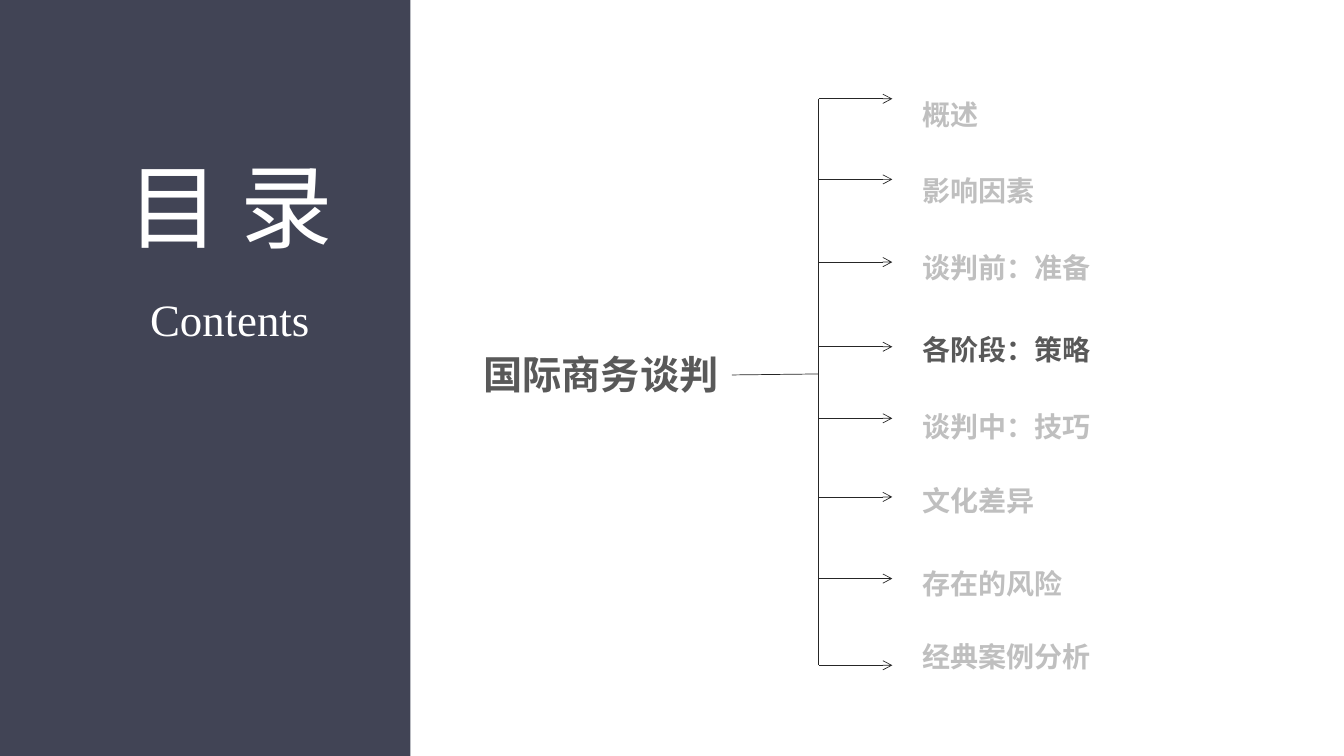
from lxml import etree
from pptx import Presentation
from pptx import util as u
from pptx.dml.color import RGBColor
from pptx.enum import shapes, text
from pptx.oxml.ns import qn

CJK = "Noto Sans CJK SC"
NAVY, WHITE, INK, DARK, MUTED = "414455", "FFFFFF", "262626", "595959", "BFBFBF"
# Topic, top of its label, height of its arrow (both from the top of the tree)
TOPICS = [
    ("概述", 0, 0.19),
    ("影响因素", 0.75, 0.99),
    ("谈判前：准备", 1.52, 1.81),
    ("各阶段：策略", 2.33, 2.65),
    ("谈判中：技巧", 3.1, 3.36),
    ("文化差异", 3.83, 4.14),
    ("存在的风险", 4.65, 4.95),
    ("经典案例分析", 5.38, 5.81),
]
CURRENT = "各阶段：策略"


def rgb(value):
    """Turn a hex string into a colour."""
    return RGBColor.from_string(value)


def place(sp, x, y, w, h):
    """Move and size a shape, in inches."""
    sp.left, sp.top, sp.width, sp.height = map(u.Inches, (x, y, w, h))


def write(sp, words, size, color, font=CJK, bold=False, center=True, wrap=False,
          spacing=1.0, anchor=text.MSO_ANCHOR.TOP, insets=(0.1, 0.05)):
    """Put one formatted line of text into a shape."""
    tf = sp.text_frame
    tf.word_wrap = wrap
    tf.auto_size = text.MSO_AUTO_SIZE.SHAPE_TO_FIT_TEXT
    tf.vertical_anchor = anchor
    tf.margin_left = tf.margin_right = u.Inches(insets[0])
    tf.margin_top = tf.margin_bottom = u.Inches(insets[1])
    p = tf.paragraphs[0]
    p.alignment = text.PP_ALIGN.CENTER if center else text.PP_ALIGN.LEFT
    p.line_spacing = spacing
    p.space_before = u.Pt(0)
    r = p.add_run()
    r.text = words
    r.font.name, r.font.size, r.font.bold = font, u.Pt(size), bold
    r.font.color.rgb = rgb(color)
    latin = r.font._element.find(qn("a:latin"))
    ea = etree.Element(qn("a:ea"), typeface=CJK)
    latin.addnext(ea)


def add_line(s, x1, y1, x2, y2, arrow=False):
    """Draw a thin line, with an open arrowhead at its end if asked."""
    line = s.shapes.add_connector(shapes.MSO_CONNECTOR.STRAIGHT,
                                  *map(u.Inches, (x1, y1, x2, y2)))
    line.line.color.rgb = rgb(INK)
    line.line.width = u.Pt(0.5)
    if arrow:
        etree.SubElement(line.line._get_or_add_ln(), qn("a:tailEnd"), type="arrow")
    etree.SubElement(line._element.spPr, qn("a:effectLst"))


def add_side_panel(s, x, y, w, h):
    """Build the dark panel with the title and subtitle."""
    panel = s.shapes.add_shape(shapes.MSO_SHAPE.RECTANGLE,
                               *map(u.Inches, (x, y, w, h)))
    panel.shadow.inherit = False
    panel.fill.solid()
    panel.fill.fore_color.rgb = rgb(NAVY)
    panel.line.fill.background()
    s.shapes._spTree.insert(2, panel._element)  # behind the placeholders
    title, subtitle = s.shapes.title, s.placeholders[1]
    place(title, x + 1.02, y + 1.43, 2.52, 1.21)
    write(title, "目 录", 66, WHITE)
    place(subtitle, x + 1.38, y + 2.84, 1.8, 0.64)
    write(subtitle, "Contents", 32, WHITE, font="Times New Roman")


def add_root(s, x, y, w, h):
    """Build the label at the root of the tree."""
    root = s.shapes.add_textbox(*map(u.Inches, (x, y, w, h)))
    root.fill.solid()
    root.fill.fore_color.rgb = rgb(WHITE)
    write(root, "国际商务谈判", 28, DARK, bold=True)


def add_tree(s, x, y, w):
    """Build the stem, the trunk and one arrow and label per topic."""
    trunk, tip, label = x + 0.86, x + 1.59, x + 1.82
    add_line(s, x, y + 2.93, trunk, y + 2.92)
    add_line(s, trunk, y + TOPICS[0][2], trunk, y + TOPICS[-1][2])
    for topic, top, level in TOPICS:
        add_line(s, trunk, y + level, tip, y + level, arrow=True)
        box = s.shapes.add_textbox(*map(u.Inches, (label, y + top, x + w - label, 0.52)))
        write(box, topic, 20, DARK if topic == CURRENT else MUTED, font="Karla",
              bold=True, center=False, wrap=True, spacing=1.5,
              anchor=text.MSO_ANCHOR.MIDDLE, insets=(0.07, 0.04))


def main():
    """Build the contents slide and save it."""
    prs = Presentation()
    prs.slide_width, prs.slide_height = u.Inches(13.33), u.Inches(7.5)
    s = prs.slides.add_slide(prs.slide_layouts[0])
    add_side_panel(s, 0, 0, 4.07, 7.5)
    add_root(s, 4.56, 3.43, 2.8, 0.57)
    add_tree(s, 7.26, 0.79, 4.96)
    prs.save("out.pptx")


main()
